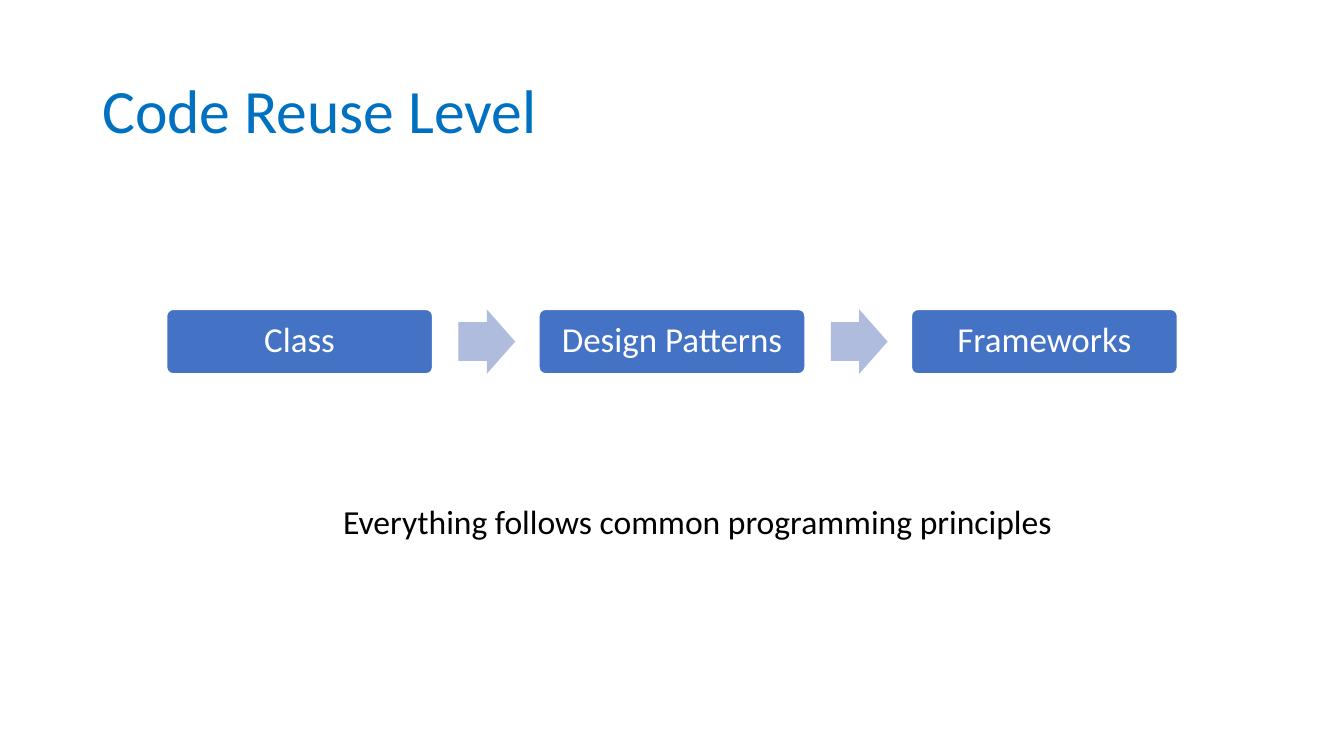
from pptx import Presentation
from pptx.dml.color import RGBColor
from pptx.enum.shapes import MSO_SHAPE as Shape
from pptx.enum.text import MSO_ANCHOR as Anchor, PP_ALIGN as Align
from pptx.util import Pt

THEME = {
    "font": "Calibri",
    "title": {"size": 44, "color": "0070C0"},
    "level": {"size": 25, "color": "FFFFFF"},
    "caption": {"size": 24, "color": "000000"},
    "box": "4472C4",
    "outline": "FFFFFF",
    "arrow": "B0BCDE",
}


def write_text(shape, text, style, anchor, align, line_spacing):
    frame = shape.text_frame
    for name, value in {"word_wrap": True, "vertical_anchor": anchor}.items():
        setattr(frame, name, value)
    paragraph = frame.paragraphs[0]
    paragraph_format = {"text": text, "alignment": align, "line_spacing": line_spacing}
    for name, value in paragraph_format.items():
        setattr(paragraph, name, value)
    font_format = {"name": THEME["font"], "size": Pt(THEME[style]["size"])}
    for name, value in font_format.items():
        setattr(paragraph.font, name, value)
    paragraph.font.color.rgb = RGBColor.from_string(THEME[style]["color"])


def add_filled(kind, left, width, fill, adjustments):
    shape = slide.shapes.add_shape(kind, Pt(left), Pt(ROW_TOP), Pt(width), Pt(ROW_HEIGHT))
    shape.shadow.inherit = False
    shape.fill.solid()
    shape.fill.fore_color.rgb = RGBColor.from_string(fill)
    shape.line.fill.background()
    for index, value in enumerate(adjustments):
        shape.adjustments[index] = value
    return shape


presentation = Presentation()
presentation.slide_width = Pt(960)
presentation.slide_height = Pt(540)
slide = presentation.slides.add_slide(presentation.slide_layouts[6])

title = slide.shapes.add_textbox(Pt(66), Pt(28.8), Pt(828), Pt(104.4))
write_text(title, "Code Reuse Level", "title", Anchor.MIDDLE, Align.LEFT, 0.9)

LEVELS = ["Class", "Design Patterns", "Frameworks"]
ROW_TOP, ROW_HEIGHT = 221, 46
FIRST_LEFT, STEP = 119, 266
BOX_WIDTH, ARROW_WIDTH, ARROW_GAP = 190, 40.5, 18.5

for index, level in enumerate(LEVELS):
    left = FIRST_LEFT + index * STEP
    box = add_filled(Shape.ROUNDED_RECTANGLE, left, BOX_WIDTH, THEME["box"], [0.1])
    box.line.color.rgb = RGBColor.from_string(THEME["outline"])
    box.line.width = Pt(1)
    write_text(box, level, "level", Anchor.MIDDLE, Align.CENTER, 0.9)
    if index < len(LEVELS) - 1:
        arrow_left = left + BOX_WIDTH + ARROW_GAP
        add_filled(Shape.RIGHT_ARROW, arrow_left, ARROW_WIDTH, THEME["arrow"], [0.6, 0.5])

caption = slide.shapes.add_textbox(Pt(222.5), Pt(354.2), Pt(551.5), Pt(36))
write_text(caption, "Everything follows common programming principles", "caption",
           Anchor.TOP, Align.CENTER, 1.0)

presentation.save("out.pptx")
